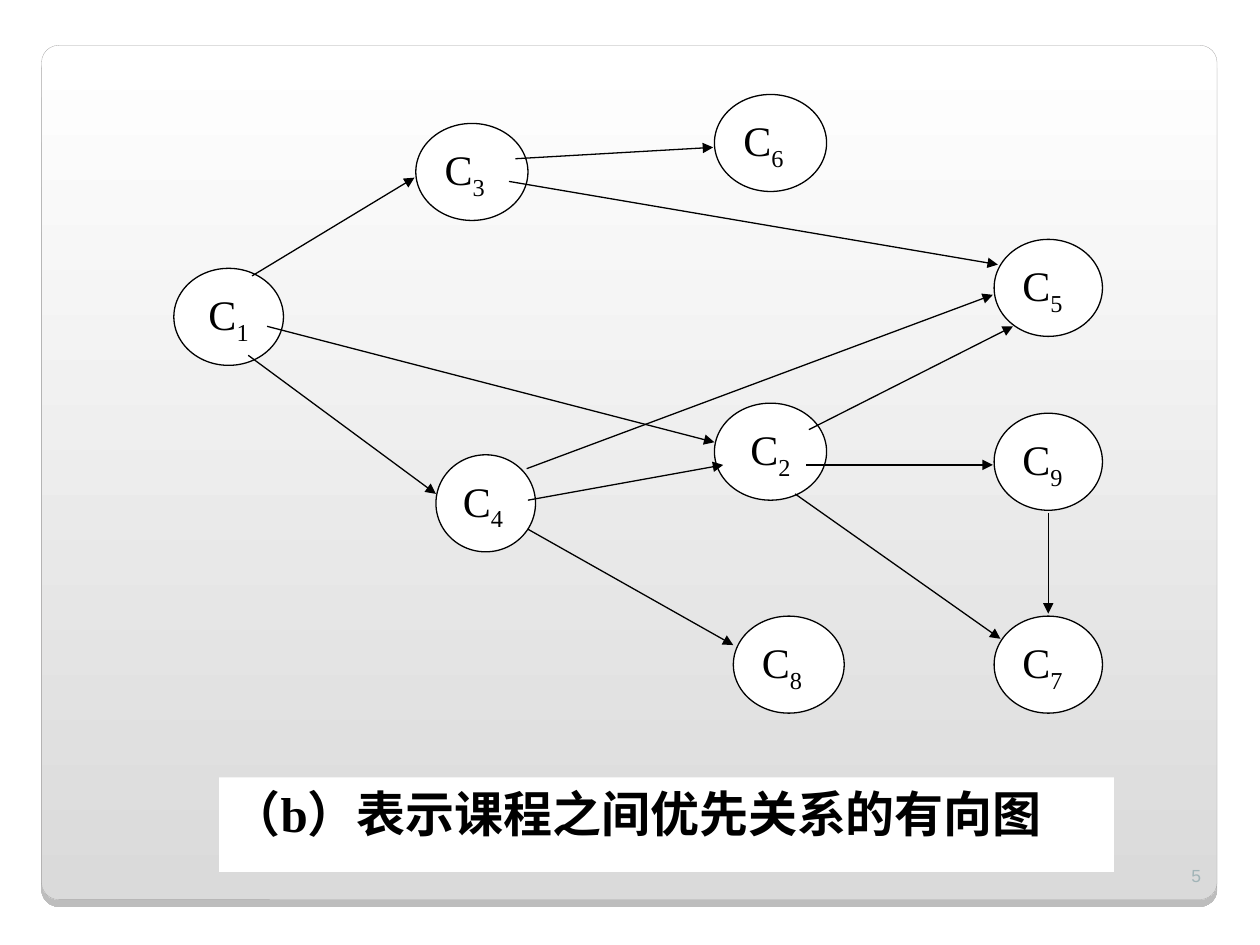
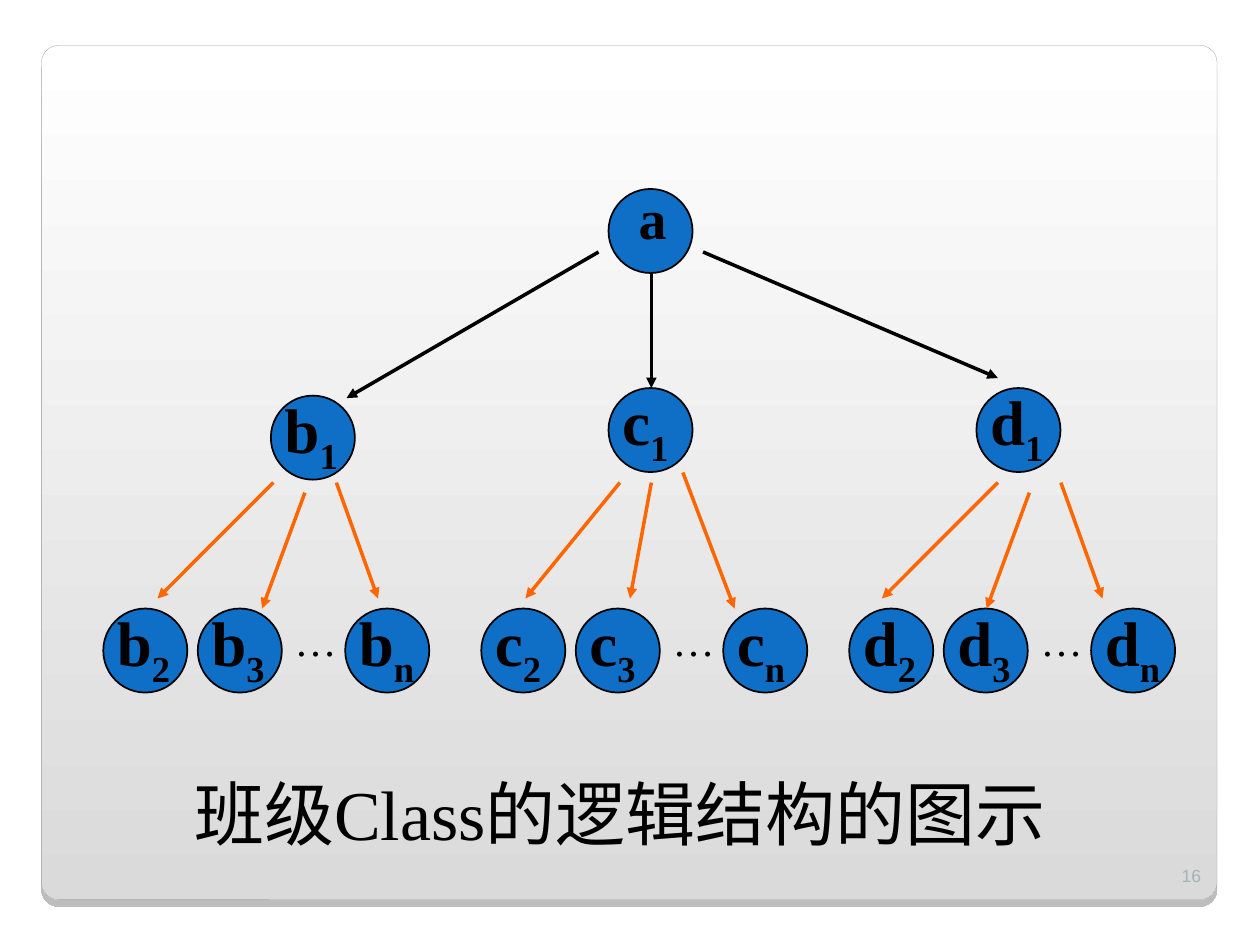
"""Builds two slides: a course precedence graph and a class structure tree."""
from dataclasses import dataclass

from lxml.etree import SubElement
from pptx import Presentation
from pptx.dml.color import RGBColor
from pptx.enum.shapes import MSO_CONNECTOR, MSO_SHAPE
from pptx.enum.text import MSO_ANCHOR, PP_ALIGN
from pptx.oxml import parse_xml
from pptx.oxml.ns import nsdecls, qn
from pptx.util import Inches, Pt


@dataclass(frozen=True)
class Theme:
    ink: str = "000000"
    paper: str = "FFFFFF"
    panel_end: str = "DADADA"
    panel_edge: str = "A4A3A3"
    page: str = "A1B4B7"
    tree: str = "0F6FC6"
    branch: str = "FF6600"
    serif: str = "Times New Roman"
    sans: str = "Arial"
    page_size: int = 10
    node_size: int = 24
    caption_size: int = 28
    root_size: int = 32
    tree_size: int = 36
    title_size: int = 40


theme = Theme()
deck = Presentation()
deck.slide_width, deck.slide_height = Inches(10), Inches(7.5)
COLUMN = deck.slide_width / 100
ROW = deck.slide_height / 75


def place(slide, outline, cells, pieces=(), size=theme.node_size, fill=None, edge=0,
          bold=False, align=PP_ALIGN.LEFT, anchor=MSO_ANCHOR.TOP,
          face=theme.serif, ink=theme.ink):
    left, top, width, height = cells
    box = [round(left * COLUMN), round(top * ROW), round(width * COLUMN), round(height * ROW)]
    if outline is None:
        part = slide.shapes.add_textbox(*box)
    else:
        part = slide.shapes.add_shape(outline, *box)
        part.shadow.inherit = False
        if fill:
            part.fill.solid()
            part.fill.fore_color.rgb = RGBColor.from_string(fill)
        if edge:
            part.line.width = Pt(edge)
            part.line.color.rgb = RGBColor.from_string(theme.ink)
        else:
            part.line.fill.background()
    frame = part.text_frame
    frame.word_wrap = True
    frame.vertical_anchor = anchor
    paragraph = frame.paragraphs[0]
    paragraph.alignment = align
    for index, piece in enumerate(pieces):
        run = paragraph.add_run()
        run.text = piece
        run.font.name, run.font.size, run.font.bold = face, Pt(size), bold
        run.font.color.rgb = RGBColor.from_string(ink)
        if index:
            run.font._element.set("baseline", "-25000")
    return part


def arrow(slide, ends, ink, weight):
    x1, y1, x2, y2 = ends
    link = slide.shapes.add_connector(MSO_CONNECTOR.STRAIGHT, round(x1 * COLUMN), round(y1 * ROW),
                                      round(x2 * COLUMN), round(y2 * ROW))
    link.line.width = Pt(weight)
    link.line.color.rgb = RGBColor.from_string(ink)
    SubElement(link.line._get_or_add_ln(), qn("a:tailEnd"), type="triangle")
    SubElement(link._element.spPr, qn("a:effectLst"))


slides = []
for page in ("5", "16"):
    slide = deck.slides.add_slide(deck.slide_layouts[6])
    panel = place(slide, MSO_SHAPE.ROUNDED_RECTANGLE, (3.3, 3.6, 93.3, 67.8))
    panel.adjustments[0] = 0.02
    panel.fill.gradient()
    panel.fill.gradient_angle = 270
    for stop, place_on_ramp, shade in zip(panel.fill.gradient_stops, (0, 1),
                                          (theme.paper, theme.panel_end)):
        stop.position = place_on_ramp
        stop.color.rgb = RGBColor.from_string(shade)
    panel.line.width = Pt(0.17)
    panel.line.color.rgb = RGBColor.from_string(theme.panel_edge)
    panel._element.spPr.find(qn("a:effectLst")).append(parse_xml(
        f'<a:outerShdw {nsdecls("a")} blurRad="0" dist="{Pt(4)}" dir="5400000" rotWithShape="0">'
        f'<a:srgbClr val="{theme.ink}"><a:alpha val="25000"/></a:srgbClr></a:outerShdw>'))
    place(slide, None, (91.3, 66.8, 5, 4), [page], theme.page_size, align=PP_ALIGN.RIGHT,
          anchor=MSO_ANCHOR.BOTTOM, face=theme.sans, ink=theme.page)
    slides.append(slide)
graph, tree = slides

courses = {
    "1": (13.8, 21.3, 8.7), "2": (56.7, 32, 8.9), "3": (33, 9.8, 8.9),
    "6": (56.7, 7.5, 8.9), "4": (34.6, 36.1, 7.9), "5": (78.9, 19, 8.6),
    "9": (78.9, 32.8, 8.6), "7": (78.9, 48.9, 8.6), "8": (58.2, 48.9, 8.8),
}
for number, (left, top, width) in courses.items():
    place(graph, MSO_SHAPE.OVAL, (left, top, width, 7.7), ["C", number], fill=theme.paper,
          edge=0.75, align=PP_ALIGN.CENTER if number in "12" else PP_ALIGN.JUSTIFY)

prerequisites = [
    (20, 21.9, 32.9, 14.1), (19.7, 28.2, 34.6, 39.2), (21.2, 25.9, 56.7, 35.1),
    (40.9, 12.6, 56.6, 11.7), (41.9, 39.7, 57.4, 36.9), (41.9, 42, 58.2, 51.2),
    (41.8, 37.2, 78.8, 23.4), (64.2, 34.1, 80.4, 25.9), (40.4, 14.4, 79.2, 21),
    (64, 36.9, 78.8, 36.9), (63.1, 39.2, 79.4, 50.7), (83.2, 40.7, 83.2, 48.7),
]
for ends in prerequisites:
    arrow(graph, ends, theme.ink, 0.75)
place(graph, MSO_SHAPE.RECTANGLE, (17.4, 61.7, 71, 7.5), ["（b）表示课程之间优先关系的有向图"],
      theme.caption_size, fill=theme.paper, bold=True)

DISC = 6.67
LEAF_TOP = 48.3
place(tree, MSO_SHAPE.OVAL, (48.3, 15, DISC, DISC), fill=theme.tree, edge=1)
place(tree, None, (49.7, 14.1, 4.2, 6.3), ["a"], theme.root_size, bold=True)

families = {"b": (21.5, 31.4, 8.2), "c": (48.3, 30.8, 38.2), "d": (77.5, 30.8, 67.4)}
for letter, (parent_left, parent_top, leaves_left) in families.items():
    members = [("1", parent_left, parent_top)]
    members += [(mark, leaves_left + step, LEAF_TOP)
                for mark, step in (("2", 0), ("3", 7.5), ("n", 19.2))]
    for mark, left, top in members:
        place(tree, MSO_SHAPE.OVAL, (left, top, DISC, DISC), fill=theme.tree, edge=1)
        place(tree, None, (left + 0.1, top - 0.9, DISC, 7.8), [letter, mark],
              theme.tree_size, bold=True)
    place(tree, None, (leaves_left + 14.2, LEAF_TOP, 5.8, 5), ["…"])

root_links = [(47.5, 20, 27.5, 31.6), (51.7, 21.6, 51.7, 30.8), (55.8, 20, 79.2, 30)]
leaf_links = [
    (21.7, 38.3, 12.5, 47.5), (24.2, 39.1, 20.8, 48.3), (26.7, 38.3, 30, 47.5),
    (49.2, 38.3, 41.7, 47.5), (51.7, 38.3, 50, 47.5), (54.2, 37.5, 58.3, 48.3),
    (79.2, 38.3, 70, 47.5), (81.7, 39.1, 78.3, 48.3), (84.2, 38.3, 87.5, 47.5),
]
for links, ink in ((root_links, theme.ink), (leaf_links, theme.branch)):
    for ends in links:
        arrow(tree, ends, ink, 2)
place(tree, None, (4.2, 60.7, 90, 7.7), ["班级Class的逻辑结构的图示"], theme.title_size,
      align=PP_ALIGN.CENTER)

deck.save("out.pptx")
